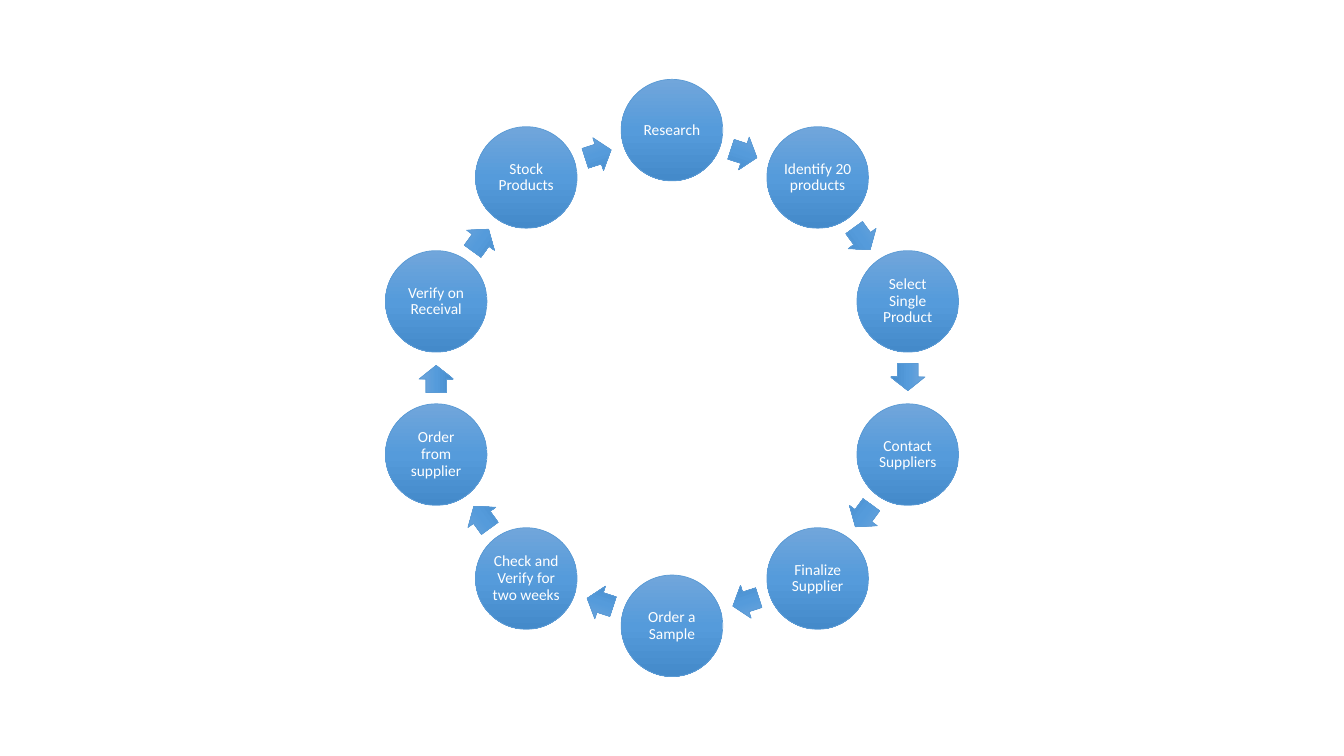
from copy import deepcopy
from dataclasses import dataclass
from math import cos, pi, sin

from pptx import Presentation
from pptx.dml.color import RGBColor as RGB
from pptx.enum.shapes import MSO_SHAPE as SHAPE
from pptx.enum.text import MSO_ANCHOR as ANCHOR, PP_ALIGN as ALIGN
from pptx.util import Inches, Pt


@dataclass(frozen=True)
class Theme:
    gradient: tuple = (("71A6DB", 0), ("559BDB", 0.5), ("448ACA", 1))
    line: str = "5B9BD5"
    text: str = "FFFFFF"
    font: str = "Calibri"
    size: float = 11
    line_width: float = 0.5


THEME = Theme()
SLIDE_W, SLIDE_H = 13.33, 7.5

STEPS = [
    "Research",
    "Identify 20 products",
    "Select Single Product",
    "Contact Suppliers",
    "Finalize Supplier",
    "Order a Sample",
    "Check and Verify for two weeks",
    "Order from supplier",
    "Verify on Receival",
    "Stock Products",
]


def add_centred(slide, kind, cx, cy, w, h):
    """Add a gradient shape around a centre point."""
    s = slide.shapes.add_shape(
        kind, Inches(cx - w / 2), Inches(cy - h / 2), Inches(w), Inches(h))
    s.shadow.inherit = False
    s.fill.gradient()
    s.fill.gradient_angle = 270  # counter-clockwise: top to bottom
    # A new gradient has two stops; add the middle one
    first = s.fill._fill._gradFill.gsLst[0]
    first.addnext(deepcopy(first))
    for stop, (colour, position) in zip(s.fill.gradient_stops, THEME.gradient):
        stop.color.rgb = RGB.from_string(colour)
        stop.position = position
    s.line.color.rgb = RGB.from_string(THEME.line)
    s.line.width = Pt(THEME.line_width)
    return s


def add_step(slide, label, cx, cy, diameter):
    """Add one labelled circle."""
    s = add_centred(slide, SHAPE.OVAL, cx, cy, diameter, diameter)
    tf = s.text_frame
    tf.word_wrap = True
    tf.vertical_anchor = ANCHOR.MIDDLE
    tf.margin_left = tf.margin_right = Inches(0.02)
    tf.margin_top = tf.margin_bottom = Inches(0.02)
    p = tf.paragraphs[0]
    p.alignment = ALIGN.CENTER
    p.line_spacing = 0.9
    r = p.add_run()
    r.text = label
    r.font.name = THEME.font
    r.font.size = Pt(THEME.size)
    r.font.color.rgb = RGB.from_string(THEME.text)


def add_cycle(slide, steps, left, top, side):
    """Place the steps clockwise on a ring inside a square box."""
    diameter = side * 0.17
    radius = (side - diameter) / 2
    cx, cy = left + side / 2, top + side / 2
    turn = 2 * pi / len(steps)
    arrow_radius = radius * cos(turn / 2)  # middle of the chord
    setback = 0.01  # arrows sit just behind the middle

    for i, label in enumerate(steps):
        # Circle
        a = i * turn
        add_step(slide, label, cx + radius * sin(a), cy - radius * cos(a), diameter)

        # Arrow to the next circle
        a += turn / 2
        arrow = add_centred(
            slide, SHAPE.RIGHT_ARROW,
            cx + arrow_radius * sin(a) - setback * cos(a),
            cy - arrow_radius * cos(a) - setback * sin(a),
            side * 0.0455, side * 0.0575)
        arrow.adjustments[0] = 0.6
        arrow.adjustments[1] = 0.5
        arrow.rotation = (i + 0.5) * 360 / len(steps)


def main():
    prs = Presentation()
    prs.slide_width, prs.slide_height = Inches(SLIDE_W), Inches(SLIDE_H)
    slide = prs.slides.add_slide(prs.slide_layouts[6])
    side = SLIDE_H * 0.79
    add_cycle(slide, STEPS, (SLIDE_W - side) / 2, (SLIDE_H - side) / 2, side)
    prs.save("out.pptx")


if __name__ == "__main__":
    main()
